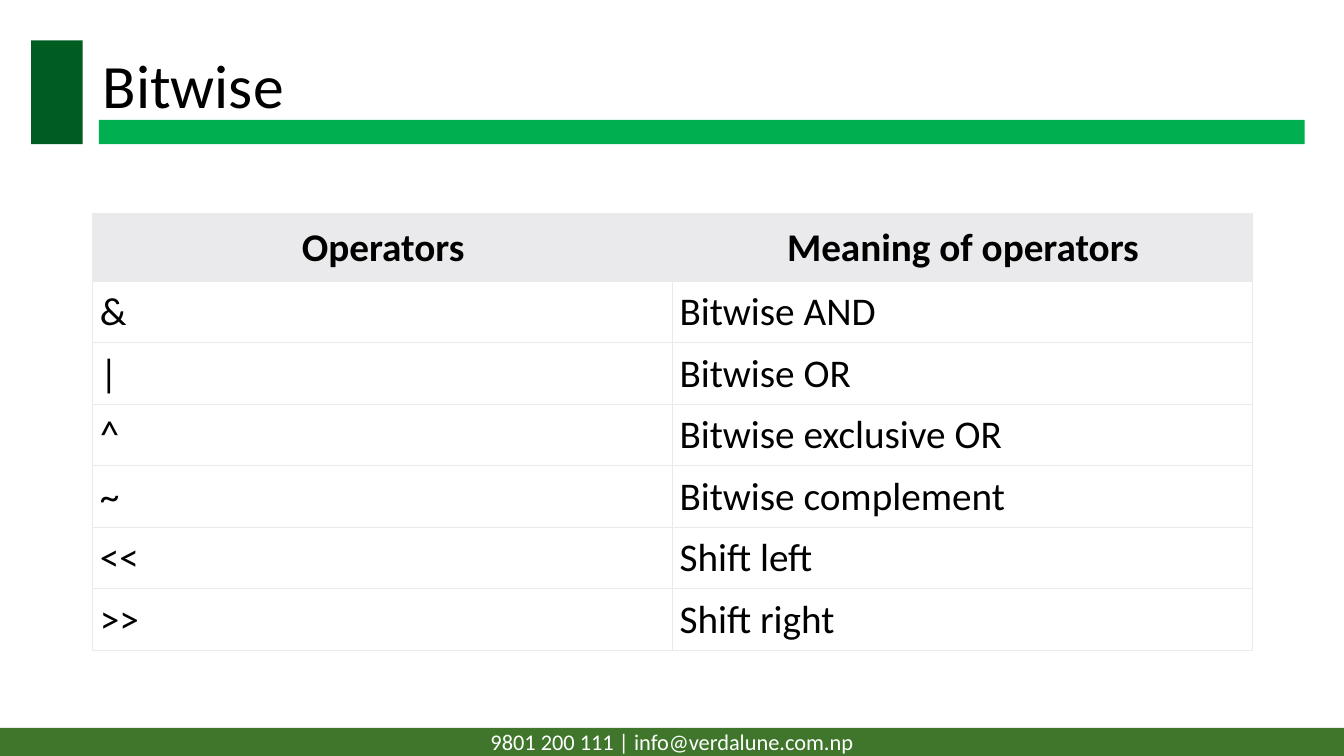
"""Build the slide listing the bitwise operators and their meanings."""
from lxml import etree
from pptx import Presentation
from pptx import util as u
from pptx.dml.color import RGBColor
from pptx.enum import shapes, text
from pptx.oxml.ns import qn

COLORS = {"bar": "00B050", "block": "005D22", "footer": "3F762B",
          "grid": "EAEAEC", "white": "FFFFFF", "ink": "000000"}
ROWS = [("Operators", "Meaning of operators"),
        ("&", "Bitwise AND"),
        ("|", "Bitwise OR"),
        ("^", "Bitwise exclusive OR"),
        ("~", "Bitwise complement"),
        ("<<", "Shift left"),
        (">>", "Shift right")]
HEAD_H, BODY_H = 0.67, 0.61
MARGIN, COL_W = 0.92, 5.75


def rgb(name):
    return RGBColor.from_string(COLORS[name])


def style(p, size, color, bold=False):
    p.font.name = "Calibri"
    p.font.size = u.Pt(size)
    p.font.bold = bold
    p.font.color.rgb = rgb(color)


prs = Presentation()
prs.slide_width, prs.slide_height = u.Inches(13.33), u.Inches(7.5)
s = prs.slides.add_slide(prs.slide_layouts[6])

bands = [("bar", 0.98, 1.19, 11.96, 0.24),
         ("block", 0.31, 0.4, 0.51, 1.03),
         ("footer", 0, 7.22, 13.33, 0.28)]
for name, *box in bands:
    sp = s.shapes.add_shape(shapes.MSO_SHAPE.RECTANGLE, *map(u.Inches, box))
    sp.shadow.inherit = False
    sp.fill.solid()
    sp.fill.fore_color.rgb = rgb(name)
    sp.line.fill.background()

tf = sp.text_frame
tf.vertical_anchor = text.MSO_ANCHOR.MIDDLE
p = tf.paragraphs[0]
p.text = "9801 200 111 | info@verdalune.com.np"
p.alignment = text.PP_ALIGN.CENTER
style(p, 16, "white")

title = s.shapes.add_textbox(*map(u.Inches, (MARGIN, 0.15, 2 * COL_W, 1.45)))
tf = title.text_frame
tf.word_wrap = True
tf.vertical_anchor = text.MSO_ANCHOR.MIDDLE
p = tf.paragraphs[0]
p.text = "Bitwise"
p.line_spacing = 0.9
style(p, 44, "ink")

height = HEAD_H + BODY_H * (len(ROWS) - 1)
table = s.shapes.add_table(len(ROWS), 2, *map(
    u.Inches, (MARGIN, 2.12, 2 * COL_W, height))).table
table.horz_banding = False
for i, row in enumerate(ROWS):
    head = i == 0
    table.rows[i].height = u.Inches(HEAD_H if head else BODY_H)
    for j, label in enumerate(row):
        cell = table.cell(i, j)
        cell.vertical_anchor = text.MSO_ANCHOR.MIDDLE
        cell.margin_left, cell.margin_right = u.Inches(0.07), u.Inches(0.06)
        cell.margin_top = u.Inches(0.1 if head else 0.07)
        cell.margin_bottom = u.Inches(0.1 if head else 0.06)
        p = cell.text_frame.paragraphs[0]
        p.text = label
        p.alignment = text.PP_ALIGN.CENTER if head else text.PP_ALIGN.LEFT
        style(p, 28, "ink", bold=head)
        tcPr = cell._tc.get_or_add_tcPr()
        for side in "LRTB":
            ln = etree.SubElement(tcPr, qn(f"a:ln{side}"), w=str(u.Pt(0.5)))
            fill = etree.SubElement(ln, qn("a:solidFill"))
            etree.SubElement(fill, qn("a:srgbClr"), val=COLORS["grid"])
        cell.fill.solid()
        cell.fill.fore_color.rgb = rgb("grid" if head else "white")

prs.save("out.pptx")
